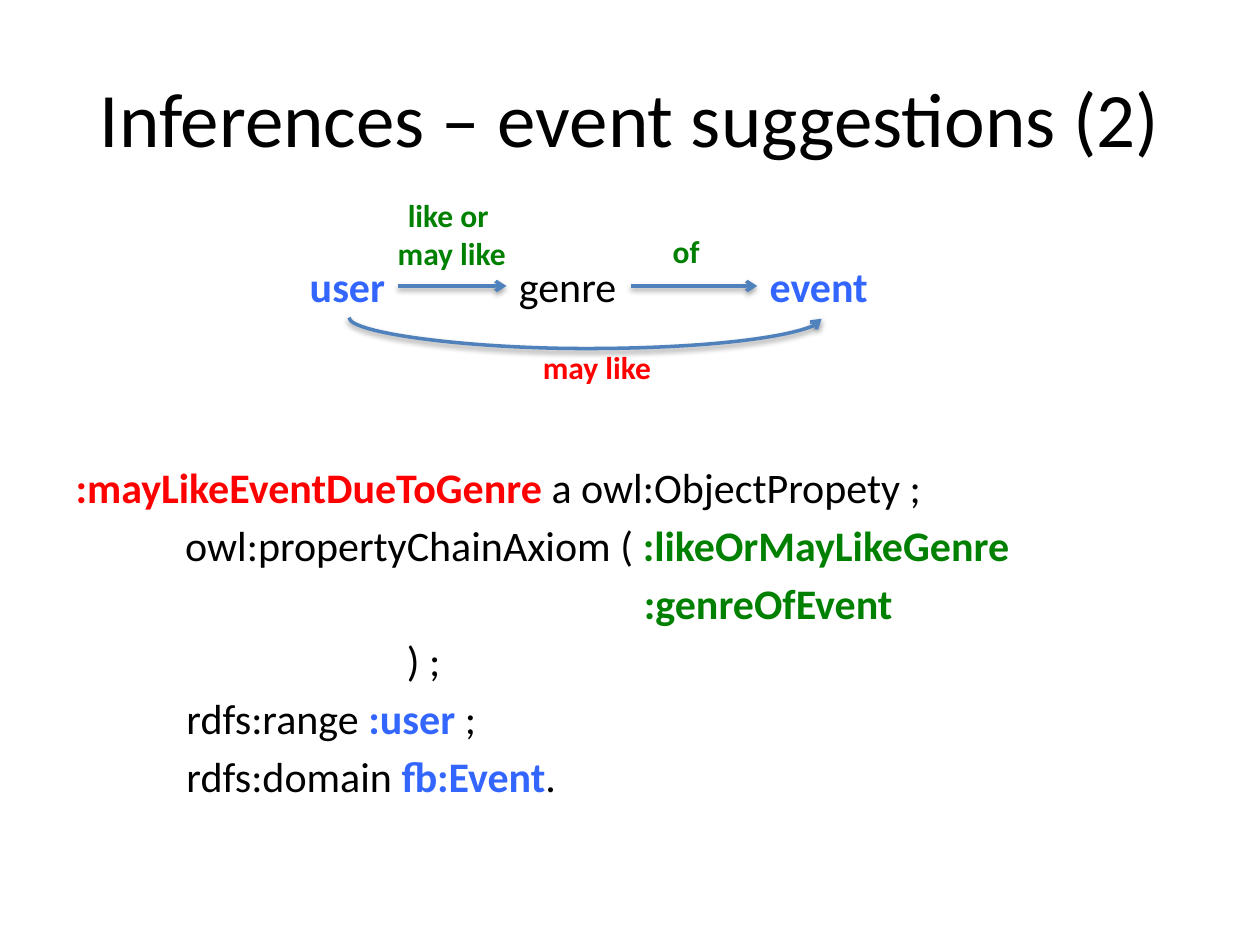
import dataclasses

import pptx
import pptx.dml.color
import pptx.enum.shapes
import pptx.enum.text
import pptx.oxml
import pptx.oxml.ns
import pptx.util


@dataclasses.dataclass(frozen=True)
class Theme:
    font: str = "Calibri"
    black: str = "000000"
    red: str = "FF0000"
    green: str = "008000"
    blue: str = "3366FF"
    arrow: str = "4F81BD"
    title_size: int = 44
    text_size: int = 24
    label_size: int = 18
    line_width: int = 2
    paragraph_gap: float = 4.3


THEME = Theme()
COLUMNS, ROWS = 100, 75
ARROW_ROW = 22.7
NODE_ROW, NODE_HEIGHT = 20.2, 5


def grid(cells):
    """Length of a number of square grid cells, a tenth of an inch each."""
    return pptx.util.Inches(cells / 10)


def color(value):
    return pptx.dml.color.RGBColor.from_string(value)


def drawing_element(xml):
    namespace = pptx.oxml.ns.nsdecls("a")
    return pptx.oxml.parse_xml(xml.replace(" ", f" {namespace} ", 1))


def write(paragraph, text, size=THEME.text_size, fill=THEME.black, bold=False):
    run = paragraph.add_run()
    run.text = text
    run.font.name = THEME.font
    run.font.size = pptx.util.Pt(size)
    run.font.bold = bold
    run.font.color.rgb = color(fill)


def place(shape, left, top, width, height):
    shape.left, shape.top = grid(left), grid(top)
    shape.width, shape.height = grid(width), grid(height)


def add_title(slide, text):
    title = slide.shapes.title
    place(title, 5, 3, 90, 12.5)
    title.text_frame.vertical_anchor = pptx.enum.text.MSO_ANCHOR.MIDDLE
    paragraph = title.text_frame.paragraphs[0]
    paragraph.alignment = pptx.enum.text.PP_ALIGN.CENTER
    write(paragraph, text, size=THEME.title_size)


def add_code(slide, lines):
    """Fill the body with lines, each an indent in cells and its runs."""
    body = slide.placeholders[1]
    place(body, 5, 17.5, 90, 49.5)
    frame = body.text_frame
    frame.auto_size = pptx.enum.text.MSO_AUTO_SIZE.NONE
    frame.margin_top = grid(19.1)
    for index, (indent, runs) in enumerate(lines):
        paragraph = frame.add_paragraph() if index else frame.paragraphs[0]
        paragraph.space_before = pptx.util.Pt(THEME.paragraph_gap if index else 0)
        properties = paragraph._p.get_or_add_pPr()
        properties.set("marL", str(grid(indent)))
        properties.set("indent", "0")
        properties.append(drawing_element("<a:buNone />"))
        for text, fill in runs:
            write(paragraph, text, fill=fill, bold=fill != THEME.black)


def add_label(slide, box, lines, centered=False, **text_format):
    shape = slide.shapes.add_textbox(*map(grid, box))
    frame = shape.text_frame
    frame.word_wrap = False
    frame.auto_size = pptx.enum.text.MSO_AUTO_SIZE.SHAPE_TO_FIT_TEXT
    for index, line in enumerate(lines):
        paragraph = frame.add_paragraph() if index else frame.paragraphs[0]
        if centered:
            paragraph.alignment = pptx.enum.text.PP_ALIGN.CENTER
        write(paragraph, line, **text_format)


def add_arrow(slide, kind, start, end):
    connector = slide.shapes.add_connector(kind, *map(grid, start + end))
    connector.line.color.rgb = color(THEME.arrow)
    connector.line.width = pptx.util.Pt(THEME.line_width)
    connector.line._get_or_add_ln().append(drawing_element('<a:tailEnd type="arrow"/>'))
    connector._element.spPr.append(drawing_element(
        '<a:effectLst ><a:outerShdw blurRad="40000" dist="20000" dir="5400000" '
        'rotWithShape="0"><a:srgbClr val="000000"><a:alpha val="38000"/>'
        "</a:srgbClr></a:outerShdw></a:effectLst>"))
    return connector


def add_arc_arrow(slide, left, right, top, drop, depth):
    """Curve hanging below two points: a curved connector turned by 270 degrees."""
    middle_x, middle_y = (left + right) / 2, top + drop / 2
    half = (right - left) / 2
    connector = add_arrow(
        slide, pptx.enum.shapes.MSO_CONNECTOR.CURVE,
        (middle_x + drop / 2, middle_y - half),
        (middle_x - drop / 2, middle_y + half))
    properties = connector._element.spPr
    properties.find(pptx.oxml.ns.qn("a:xfrm")).set("rot", str(270 * 60000))
    adjustments = properties.find(".//" + pptx.oxml.ns.qn("a:avLst"))
    bend = round(depth / drop * 100000)
    adjustments.append(drawing_element(f'<a:gd name="adj1" fmla="val {bend}"/>'))


def add_diagram(slide):
    for left, width, text, fill in (
        (23.6, 8.1, "user", THEME.blue),
        (40.2, 9.9, "genre", THEME.black),
        (60.1, 10, "event", THEME.blue),
    ):
        add_label(slide, (left, NODE_ROW, width, NODE_HEIGHT), [text],
                  fill=fill, bold=fill != THEME.black)
    for start, end in ((31.6, 40.2), (50.1, 60.1)):
        add_arrow(slide, pptx.enum.shapes.MSO_CONNECTOR.STRAIGHT,
                  (start, ARROW_ROW), (end, ARROW_ROW))
    add_arc_arrow(slide, left=27.7, right=65.2, top=25.2, drop=0.1, depth=2.5)
    for box, lines, fill in (
        ((30.4, 15.1, 10.9, 7.1), ["like or ", "may like"], THEME.green),
        ((52.4, 17.9, 4.3, 4), ["of"], THEME.green),
        ((42.1, 27.1, 10.9, 4), ["may like"], THEME.red),
    ):
        add_label(slide, box, lines, centered=len(lines) > 1,
                  size=THEME.label_size, fill=fill, bold=True)


def main():
    presentation = pptx.Presentation()
    presentation.slide_width, presentation.slide_height = grid(COLUMNS), grid(ROWS)
    slide = presentation.slides.add_slide(presentation.slide_layouts[1])
    add_title(slide, "Inferences – event suggestions (2)")
    add_code(slide, [
        (0, [(":mayLikeEventDueToGenre ", THEME.red),
             ("a owl:ObjectPropety ;", THEME.black)]),
        (8.7, [("owl:propertyChainAxiom ( ", THEME.black),
               (":likeOrMayLikeGenre", THEME.green)]),
        (45.1, [(":genreOfEvent", THEME.green)]),
        (26.3, [(") ;", THEME.black)]),
        (8.8, [("rdfs:range ", THEME.black), (":user", THEME.blue),
               (" ;", THEME.black)]),
        (8.8, [("rdfs:domain ", THEME.black), ("fb:Event", THEME.blue),
               (".", THEME.black)]),
    ])
    add_diagram(slide)
    presentation.save("out.pptx")


if __name__ == "__main__":
    main()
